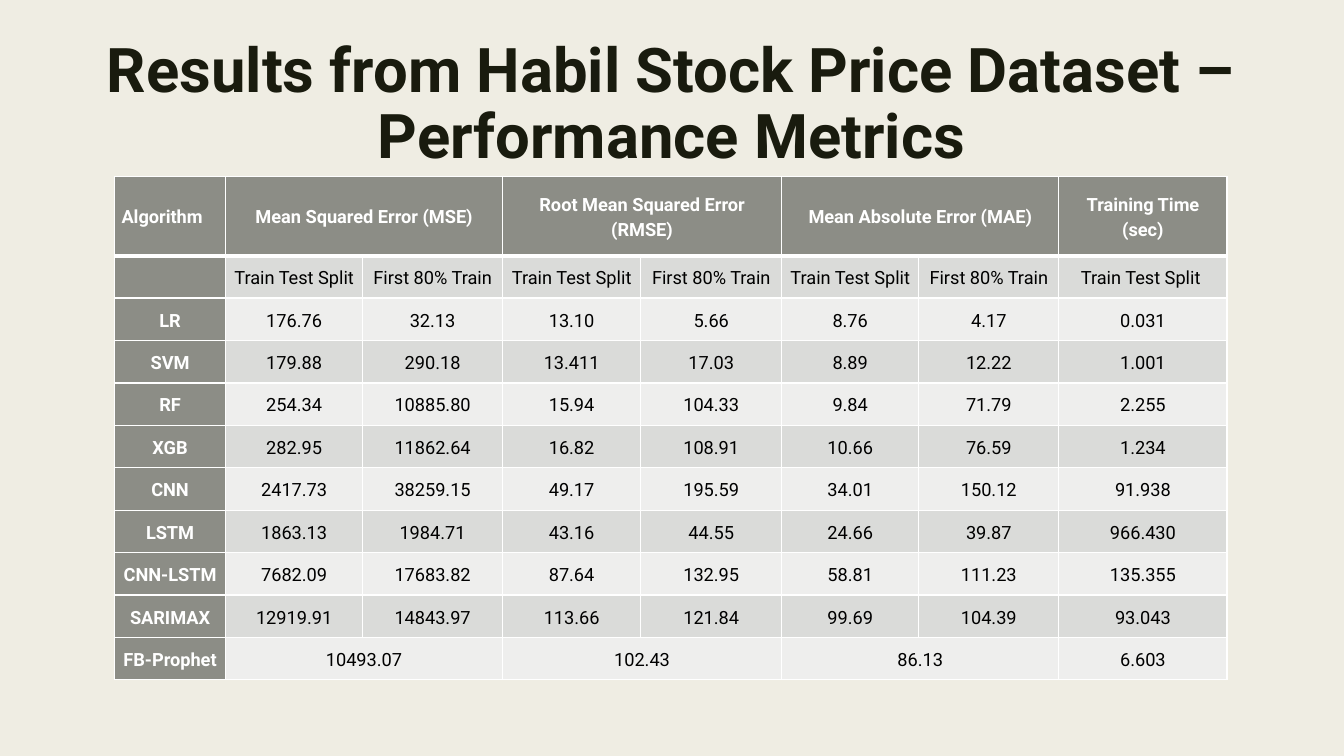
from lxml.etree import SubElement as Sub
from pptx import Presentation
from pptx.dml.color import RGBColor
from pptx.enum.shapes import MSO_SHAPE as Shape
from pptx.enum.text import MSO_ANCHOR as Anchor, PP_ALIGN as Align
from pptx.oxml.ns import qn
from pptx.util import Pt

CREAM = RGBColor(0xEF, 0xED, 0xE3)
INK = RGBColor(0x19, 0x1B, 0x0E)
GREY = RGBColor(0x8C, 0x8D, 0x86)
DARK = RGBColor(0xDA, 0xDB, 0xD9)
PALE = RGBColor(0xEE, 0xEE, 0xED)
WHITE = RGBColor(0xFF, 0xFF, 0xFF)
BLACK = RGBColor(0, 0, 0)

FONT = "Roboto"
WIDE, HIGH = 960, 540
TITLE = "Results from Habil Stock Price Dataset – Performance Metrics"
WIDTHS = [79.3, 98, 99.8, 98.9, 100.6, 98, 100, 120.2]
HEAD_H, ROW_H = 56.5, 30.33
SPLIT, FIRST = "Train Test Split", "First 80% Train"
ROWS = [
    ["Algorithm", "Mean Squared Error (MSE)", "", "Root Mean Squared Error (RMSE)", "",
     "Mean Absolute Error (MAE)", "", "Training Time (sec)"],
    ["", *[SPLIT, FIRST] * 3, SPLIT + " "],
    ["LR", "176.76", "32.13", "13.10", "5.66", "8.76", "4.17", "0.031"],
    ["SVM", "179.88", "290.18", "13.411", "17.03", "8.89", "12.22", "1.001"],
    ["RF", "254.34", "10885.80", "15.94", "104.33", "9.84", "71.79", "2.255"],
    ["XGB", "282.95", "11862.64", "16.82", "108.91", "10.66", "76.59", "1.234"],
    ["CNN", "2417.73", "38259.15", "49.17", "195.59", "34.01", "150.12", "91.938"],
    ["LSTM", "1863.13", "1984.71", "43.16", "44.55", "24.66", "39.87", "966.430"],
    ["CNN-LSTM", "7682.09", "17683.82", "87.64", "132.95", "58.81", "111.23", "135.355"],
    ["SARIMAX", "12919.91", "14843.97", "113.66", "121.84", "99.69", "104.39", "93.043"],
    ["FB-Prophet", "10493.07", "", "102.43", "", "86.13", "", "6.603"],
]


def paint(fill, color):
    fill.solid()
    fill.fore_color.rgb = color


def set_text(frame, text, size, color, bold, align, space):
    frame.text = text
    frame.word_wrap = True
    para = frame.paragraphs[0]
    para.alignment = align
    para.line_spacing = space
    for run in para.runs:
        font = run.font
        font.name, font.size, font.bold = FONT, Pt(size), bold
        font.color.rgb = color
    return para


def add_panel(slide):
    panel = slide.shapes.add_shape(Shape.RECTANGLE, Pt(0), Pt(0), Pt(WIDE), Pt(HIGH))
    panel.shadow.inherit = False
    paint(panel.fill, CREAM)
    panel.line.fill.background()


def add_title(slide):
    box = slide.shapes.add_textbox(Pt(50.4), Pt(25.2), Pt(859), Pt(116.6))
    set_text(box.text_frame, TITLE, 44, INK, True, Align.CENTER, 0.89)


def add_edge(cell, side, width):
    line = Sub(cell._tc.get_or_add_tcPr(), qn(f"a:ln{side}"), w=str(Pt(width)))
    Sub(Sub(line, qn("a:solidFill")), qn("a:srgbClr"), val=str(WHITE))


def style_cell(cell, text, row, col):
    head = row == 0 or col == 0
    for side in "LRTB":
        thick = (row == 0 and side == "B") or (row == 1 and side == "T")
        add_edge(cell, side, 3 if thick else 1)
    paint(cell.fill, GREY if head else DARK if row % 2 else PALE)
    cell.margin_left = cell.margin_right = Pt(5)
    cell.margin_top = cell.margin_bottom = Pt(0)
    cell.vertical_anchor = Anchor.MIDDLE
    align = Align.LEFT if row == col == 0 else Align.CENTER
    para = set_text(cell.text_frame, text, 13, WHITE if head else BLACK, head, align, 1.15)
    para.space_after = Pt(8)


def add_grid(slide):
    high = HEAD_H + ROW_H * (len(ROWS) - 1)
    frame = slide.shapes.add_table(len(ROWS), len(WIDTHS), Pt(81.8), Pt(126.1),
                                   Pt(sum(WIDTHS)), Pt(high))
    table = frame.table
    for col, width in zip(table.columns, WIDTHS):
        col.width = Pt(width)
    for i, row in enumerate(table.rows):
        row.height = Pt(ROW_H if i else HEAD_H)
    for i, texts in enumerate(ROWS):
        for j, text in enumerate(texts):
            style_cell(table.cell(i, j), text, i, j)
    for i in (0, len(ROWS) - 1):
        for j in (1, 3, 5):
            table.cell(i, j).merge(table.cell(i, j + 1))


def main():
    deck = Presentation()
    deck.slide_width, deck.slide_height = Pt(WIDE), Pt(HIGH)
    slide = deck.slides.add_slide(deck.slide_layouts[6])
    paint(slide.background.fill, CREAM)
    add_panel(slide)
    add_title(slide)
    add_grid(slide)
    deck.save("out.pptx")


if __name__ == "__main__":
    main()
